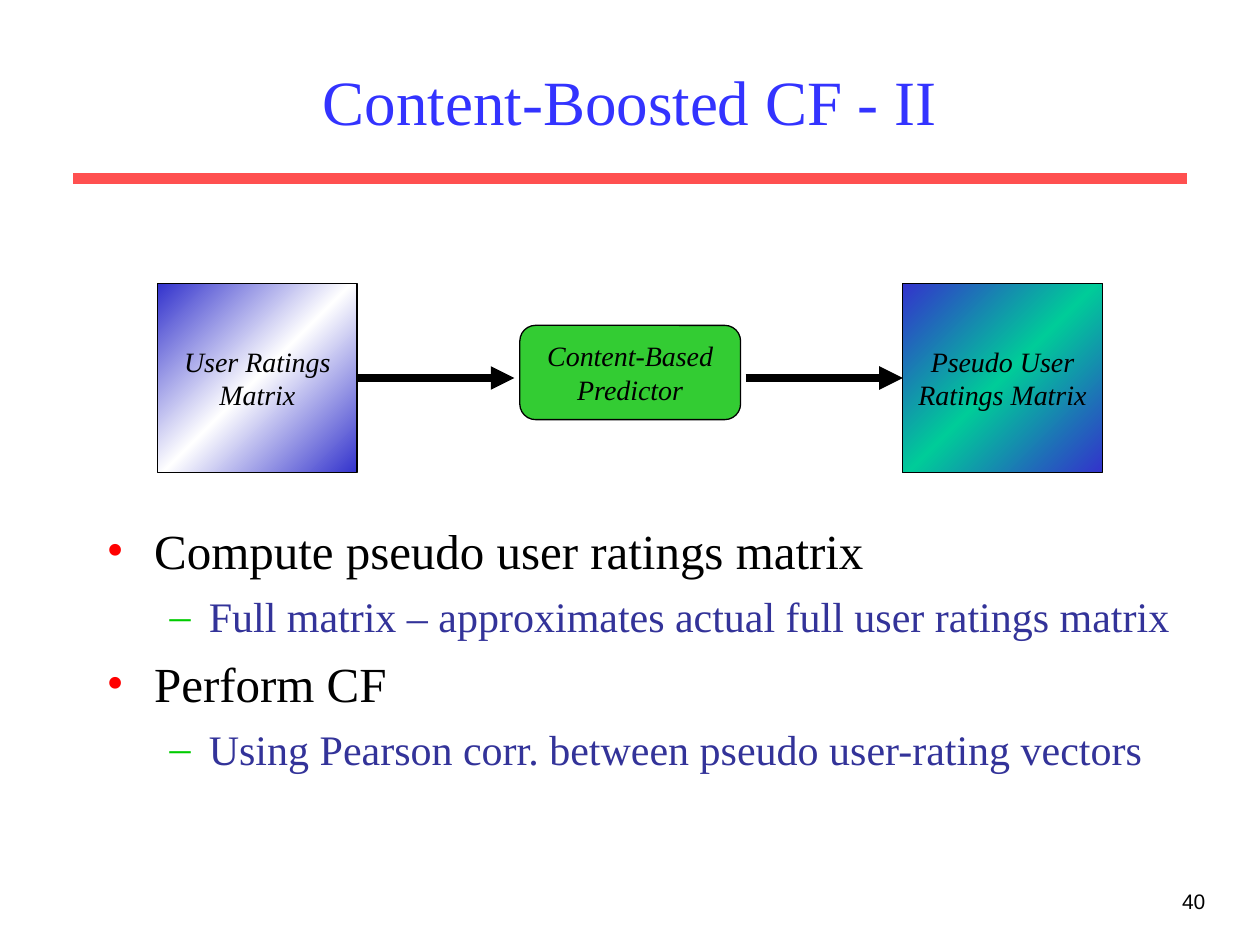
from copy import deepcopy
from dataclasses import dataclass

from lxml import etree
from pptx import Presentation
from pptx.dml.color import RGBColor
from pptx.enum.shapes import MSO_CONNECTOR, MSO_SHAPE
from pptx.enum.text import MSO_ANCHOR, PP_ALIGN
from pptx.oxml.ns import qn
from pptx.util import Cm, Pt

LINE = MSO_CONNECTOR.STRAIGHT
RECT = MSO_SHAPE.RECTANGLE
ROUND = MSO_SHAPE.ROUNDED_RECTANGLE
TOP, MIDDLE = MSO_ANCHOR.TOP, MSO_ANCHOR.MIDDLE
LEFT, CENTER, RIGHT = PP_ALIGN.LEFT, PP_ALIGN.CENTER, PP_ALIGN.RIGHT


@dataclass(frozen=True)
class Theme:
    serif: str = "Times New Roman"
    sans: str = "Arial"
    ink: str = "000000"
    title: str = "3333FF"
    rule: str = "FF5050"
    edge: str = "3333CC"
    white: str = "FFFFFF"
    teal: str = "00CC99"
    green: str = "33CC33"
    title_size: float = 36
    label_size: float = 16
    page_size: float = 12
    levels: tuple = (
        ("•", "FF0000", "000000", 28, 7, 0.96, 0.96),
        ("–", "00CC00", "333399", 24, 6.5, 2.06, 0.79),
    )


class Deck:
    def __init__(self, theme):
        self.theme = theme
        self.prs = Presentation()
        self.prs.slide_width, self.prs.slide_height = Cm(25.4), Cm(19.05)
        self.slide = self.prs.slides.add_slide(self.prs.slide_layouts[6])

    def font(self, para, size, color, name, italic=False):
        font = para.font
        font.size, font.name, font.italic = Pt(size), name, italic
        font.color.rgb = RGBColor.from_string(color)

    def text(self, box, words, size, color, name, align=LEFT, anchor=TOP):
        shape = self.slide.shapes.add_textbox(*map(Cm, box))
        frame = shape.text_frame
        frame.word_wrap, frame.vertical_anchor = True, anchor
        frame.text = words
        para = frame.paragraphs[0]
        para.alignment = align
        self.font(para, size, color, name)

    def bullets(self, box, items):
        frame = self.slide.shapes.add_textbox(*map(Cm, box)).text_frame
        frame.word_wrap = True
        frame.text = "\n".join(words for _, words in items)
        for para, (level, _) in zip(frame.paragraphs, items):
            mark, tint, color, size, gap, left, hang = self.theme.levels[level]
            para.level, para.space_before = level, Pt(gap)
            props = para._p.get_or_add_pPr()
            props.set("marL", str(Cm(left)))
            props.set("indent", str(-Cm(hang)))
            paint = etree.SubElement(props, qn("a:buClr"))
            etree.SubElement(paint, qn("a:srgbClr"), val=tint)
            etree.SubElement(props, qn("a:buFont"), typeface=self.theme.serif)
            etree.SubElement(props, qn("a:buChar"), char=mark)
            self.font(para, size, color, self.theme.serif)

    def node(self, kind, box, words, colors):
        shape = self.slide.shapes.add_shape(kind, *map(Cm, box))
        shape.shadow.inherit = False
        shape.line.color.rgb = RGBColor.from_string(self.theme.ink)
        shape.line.width = Pt(0.75)
        if len(colors) == 1:
            shape.fill.solid()
            shape.fill.fore_color.rgb = RGBColor.from_string(colors[0])
        else:
            self.blend(shape.fill, shape._element.spPr, colors)
        frame = shape.text_frame
        frame.word_wrap, frame.vertical_anchor = False, MIDDLE
        frame.text = words
        for para in frame.paragraphs:
            para.alignment = CENTER
            self.font(para, self.theme.label_size, self.theme.ink,
                      self.theme.serif, True)

    def blend(self, fill, props, colors):
        fill.gradient()
        fill.gradient_angle = 315
        first = props.find(".//" + qn("a:gs"))
        first.addnext(deepcopy(first))
        for i, (stop, color) in enumerate(zip(fill.gradient_stops, colors)):
            stop.position = i / (len(colors) - 1)
            stop.color.rgb = RGBColor.from_string(color)

    def line(self, start, end, y, color, width, arrow=False):
        link = self.slide.shapes.add_connector(
            LINE, Cm(start), Cm(y), Cm(end), Cm(y))
        link.line.color.rgb = RGBColor.from_string(color)
        link.line.width = Pt(width)
        props = link._element.spPr
        if arrow:
            etree.SubElement(props.find(qn("a:ln")), qn("a:tailEnd"),
                             type="triangle")
        etree.SubElement(props, qn("a:effectLst"))


theme = Theme()
deck = Deck(theme)

deck.line(1.48, 23.92, 3.6, theme.rule, 6)
deck.text((19.26, 17.78, 5.29, 1.27), "40", theme.page_size, theme.ink,
          theme.sans, RIGHT)
deck.text((1.9, 0.64, 21.6, 2.75), "Content-Boosted CF - II",
          theme.title_size, theme.title, theme.serif, CENTER, MIDDLE)
deck.bullets((1.9, 10.37, 22.23, 6.8), (
    (0, "Compute pseudo user ratings matrix"),
    (1, "Full matrix – approximates actual full user ratings matrix"),
    (0, "Perform CF"),
    (1, "Using Pearson corr. between pseudo user-rating vectors"),
))

axis = 7.62
nodes = (
    (RECT, 3.18, 4.02, 3.81, axis, "User Ratings\nMatrix",
     (theme.edge, theme.white, theme.edge)),
    (RECT, 18.2, 4.02, 3.81, axis, "Pseudo User\nRatings Matrix",
     (theme.edge, theme.teal, theme.edge)),
    (ROUND, 10.48, 4.45, 1.9, 7.51, "Content-Based\nPredictor",
     (theme.green,)),
)
for kind, left, wide, high, mid, words, colors in nodes:
    deck.node(kind, (left, mid - high / 2, wide, high), words, colors)
for start in (7.2, 15.03):
    deck.line(start, start + 3.17, axis, theme.ink, 4.5, True)

deck.prs.save("out.pptx")
